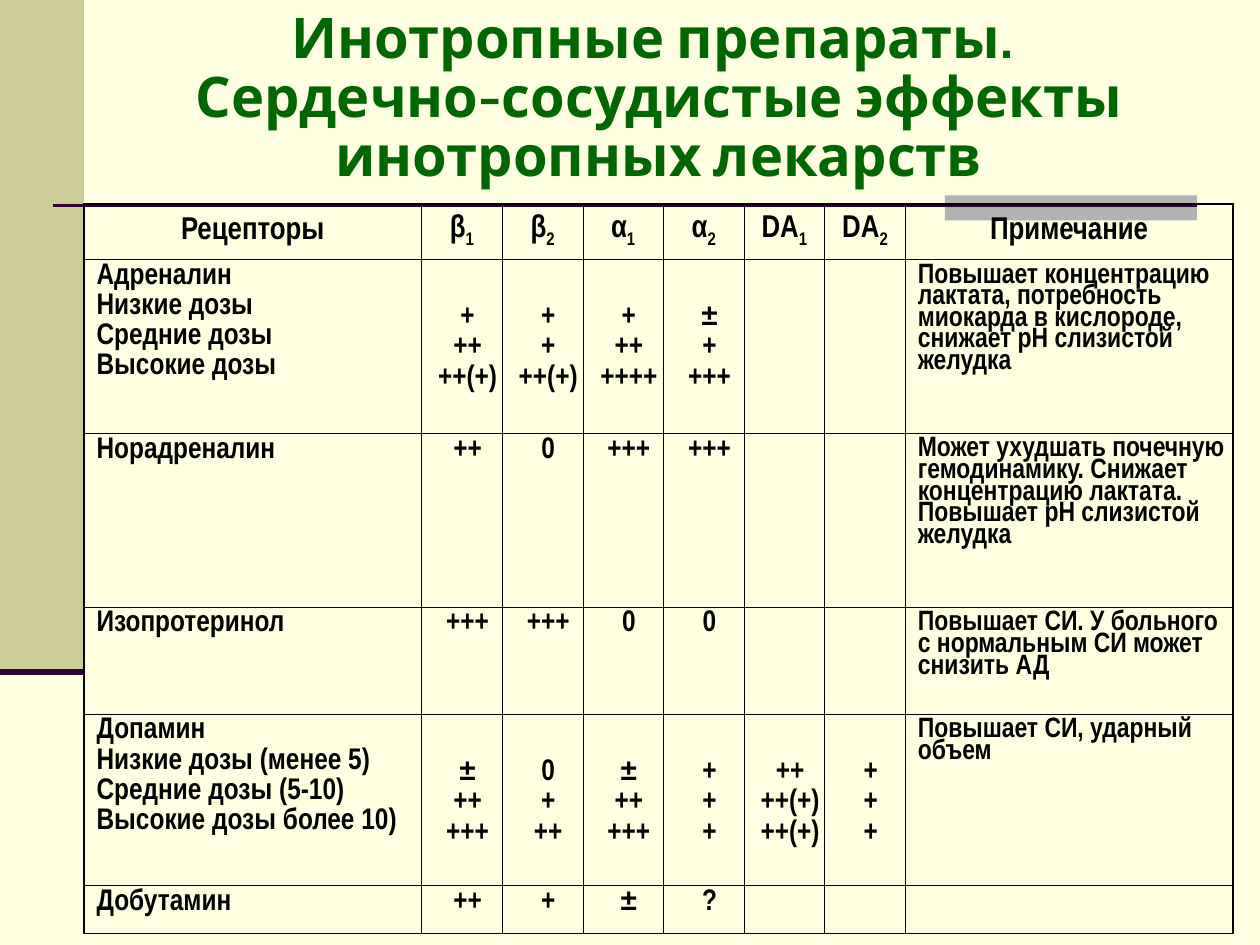
import pptx
import pptx.dml.color
import pptx.enum.shapes
import pptx.enum.text
import pptx.oxml.ns
import pptx.util
from lxml import etree

RGBColor = pptx.dml.color.RGBColor
CREAM = RGBColor(0xFF, 0xFF, 0xE1)
KHAKI = RGBColor(0xCC, 0xCC, 0x99)
GREY = RGBColor(0xB2, 0xB2, 0xB2)
PLUM = RGBColor(0x33, 0x00, 0x33)
GREEN = RGBColor(0x00, 0x66, 0x00)
BLACK = RGBColor(0x00, 0x00, 0x00)

Inches, Pt = pptx.util.Inches, pptx.util.Pt
ALIGN, ANCHOR = pptx.enum.text.PP_ALIGN, pptx.enum.text.MSO_ANCHOR

WIDTH, HEIGHT = 10, 7.5
SIDEBAR_WIDTH, SIDEBAR_HEIGHT = WIDTH / 15, 5.33
RULE_TOP = 1.63
COLUMNS = [2.68] + [0.64] * 6 + [2.6]
ROWS = [0.44, 1.38, 1.38, 0.85, 1.36, 0.38]
TABLE_LEFT, TABLE_TOP = SIDEBAR_WIDTH, 1.62
THIN, THICK = 0.45, 1.08
TIGHT = 0.82
DOSE_OFFSET = 0.33

# The digit that ends a receptor name is its subscript.
RECEPTORS = ["β1", "β2", "α1", "α2", "DA1", "DA2"]

# Drug lines, marks per receptor (one per line of the cell), note.
DRUGS = [
    (["Адреналин", "Низкие дозы", "Средние дозы", "Высокие дозы"],
     ["+ ++ ++(+)", "+ + ++(+)", "+ ++ ++++", "± + +++", "", ""],
     "Повышает концентрацию лактата, потребность миокарда в кислороде, "
     "снижает рН слизистой желудка"),
    (["Норадреналин"], ["++", "0", "+++", "+++", "", ""],
     "Может ухудшать почечную гемодинамику. Снижает концентрацию лактата. "
     "Повышает рН слизистой желудка"),
    (["Изопротеринол"], ["+++", "+++", "0", "0", "", ""],
     "Повышает СИ. У больного с нормальным СИ может снизить АД"),
    (["Допамин", "Низкие дозы (менее 5)", "Средние дозы (5-10)",
      "Высокие дозы более 10)"],
     ["± ++ +++", "0 + ++", "± ++ +++", "+ + +", "++ ++(+) ++(+)", "+ + +"],
     "Повышает СИ, ударный объем"),
    (["Добутамин"], ["++", "+", "±", "?", "", ""], ""),
]


def style_paragraph(paragraph, size, color, name, align, spacing):
    paragraph.alignment = align
    paragraph.line_spacing = spacing
    font = paragraph.font
    font.size, font.name, font.bold = Pt(size), name, True
    font.color.rgb = color


def add_block(page, left, top, width, height, color):
    block = page.shapes.add_shape(
        pptx.enum.shapes.MSO_SHAPE.RECTANGLE,
        Inches(left), Inches(top), Inches(width), Inches(height))
    block.shadow.inherit = False
    block.fill.solid()
    block.fill.fore_color.rgb = color
    block.line.fill.background()


def add_rule(page, left, right, top, weight):
    rule = page.shapes.add_connector(
        pptx.enum.shapes.MSO_CONNECTOR.STRAIGHT,
        Inches(left), Inches(top), Inches(right), Inches(top))
    rule.line.color.rgb = PLUM
    rule.line.width = Pt(weight)
    etree.SubElement(rule._element.spPr, pptx.oxml.ns.qn("a:effectLst"))


def format_title(page):
    title = page.shapes.title
    title.left, title.top = Inches(0.98), Inches(0.28)
    title.width, title.height = Inches(8.5), Inches(1.02)
    frame = title.text_frame
    frame.word_wrap = True
    frame.auto_size = pptx.enum.text.MSO_AUTO_SIZE.NONE
    frame.vertical_anchor = ANCHOR.MIDDLE
    frame.text = ("Инотропные препараты. \v"
                  "Сердечно-сосудистые эффекты инотропных лекарств")
    style_paragraph(frame.paragraphs[0], 32, GREEN, "Cabin", ALIGN.CENTER, 0.88)


def set_borders(cell, row, column):
    """Thick on the outer edge of the table, thin inside."""
    outer = {"L": column == 0, "R": column == len(COLUMNS) - 1,
             "T": row == 0, "B": row == len(ROWS) - 1}
    properties = cell._tc.get_or_add_tcPr()
    for side, is_outer in outer.items():
        border = etree.SubElement(properties, pptx.oxml.ns.qn(f"a:ln{side}"),
                                  w=str(Pt(THICK if is_outer else THIN)))
        fill = etree.SubElement(border, pptx.oxml.ns.qn("a:solidFill"))
        etree.SubElement(fill, pptx.oxml.ns.qn("a:srgbClr"), val=str(BLACK))


def fill_cell(cell, lines, size, align, spacing=TIGHT):
    frame = cell.text_frame
    frame.text = "\n".join(lines)
    for index, paragraph in enumerate(frame.paragraphs):
        style_paragraph(paragraph, size, BLACK, "Arial Narrow", align, spacing)
        if index:
            paragraph.space_before = Pt(4.2)


def fill_header(table):
    for column, label in enumerate(["Рецепторы", *RECEPTORS, "Примечание"]):
        cell = table.cell(0, column)
        cell.vertical_anchor = ANCHOR.MIDDLE
        if label in RECEPTORS:
            fill_cell(cell, [label[:-1]], 18, ALIGN.CENTER, 1)
            span = cell.text_frame.paragraphs[0].add_run()
            span.text = label[-1]
            span.font._element.set("baseline", "-25000")
        else:
            fill_cell(cell, [label], 18, ALIGN.CENTER, 1)


def fill_drug(table, row, names, marks, note):
    fill_cell(table.cell(row, 0), names, 17, ALIGN.LEFT)
    for column, mark in enumerate(marks, start=1):
        cell = table.cell(row, column)
        fill_cell(cell, mark.split(), 17, ALIGN.CENTER)
        if mark and len(names) > 1:
            cell.margin_top = Inches(0.05 + DOSE_OFFSET)
    fill_cell(table.cell(row, len(COLUMNS) - 1), [note], 16, ALIGN.LEFT)


def add_receptor_table(page):
    table = page.shapes.add_table(
        len(ROWS), len(COLUMNS), Inches(TABLE_LEFT), Inches(TABLE_TOP),
        Inches(sum(COLUMNS)), Inches(sum(ROWS))).table
    table.first_row = table.horz_banding = False
    for column, width in zip(table.columns, COLUMNS):
        column.width = Inches(width)
    for row, height in zip(table.rows, ROWS):
        row.height = Inches(height)
    for row in range(len(ROWS)):
        for column in range(len(COLUMNS)):
            cell = table.cell(row, column)
            set_borders(cell, row, column)
            cell.fill.background()
            cell.margin_left = Inches(0.1)
            cell.margin_right = Inches(0.01 if row else 0.1)
            cell.margin_top = cell.margin_bottom = Inches(0.05)
    fill_header(table)
    for row, drug in enumerate(DRUGS, start=1):
        fill_drug(table, row, *drug)


def main():
    deck = pptx.Presentation()
    deck.slide_width, deck.slide_height = Inches(WIDTH), Inches(HEIGHT)
    page = deck.slides.add_slide(deck.slide_layouts.get_by_name("Title Only"))
    page.background.fill.solid()
    page.background.fill.fore_color.rgb = CREAM
    add_block(page, 0, 0, SIDEBAR_WIDTH, SIDEBAR_HEIGHT, KHAKI)
    add_block(page, 7.5, 1.55, 2, 0.2, GREY)
    add_rule(page, 0.42, 9.5, RULE_TOP, 1.5)
    add_rule(page, 0, SIDEBAR_WIDTH, SIDEBAR_HEIGHT, 3.5)
    format_title(page)
    add_receptor_table(page)
    deck.save("out.pptx")


if __name__ == "__main__":
    main()
